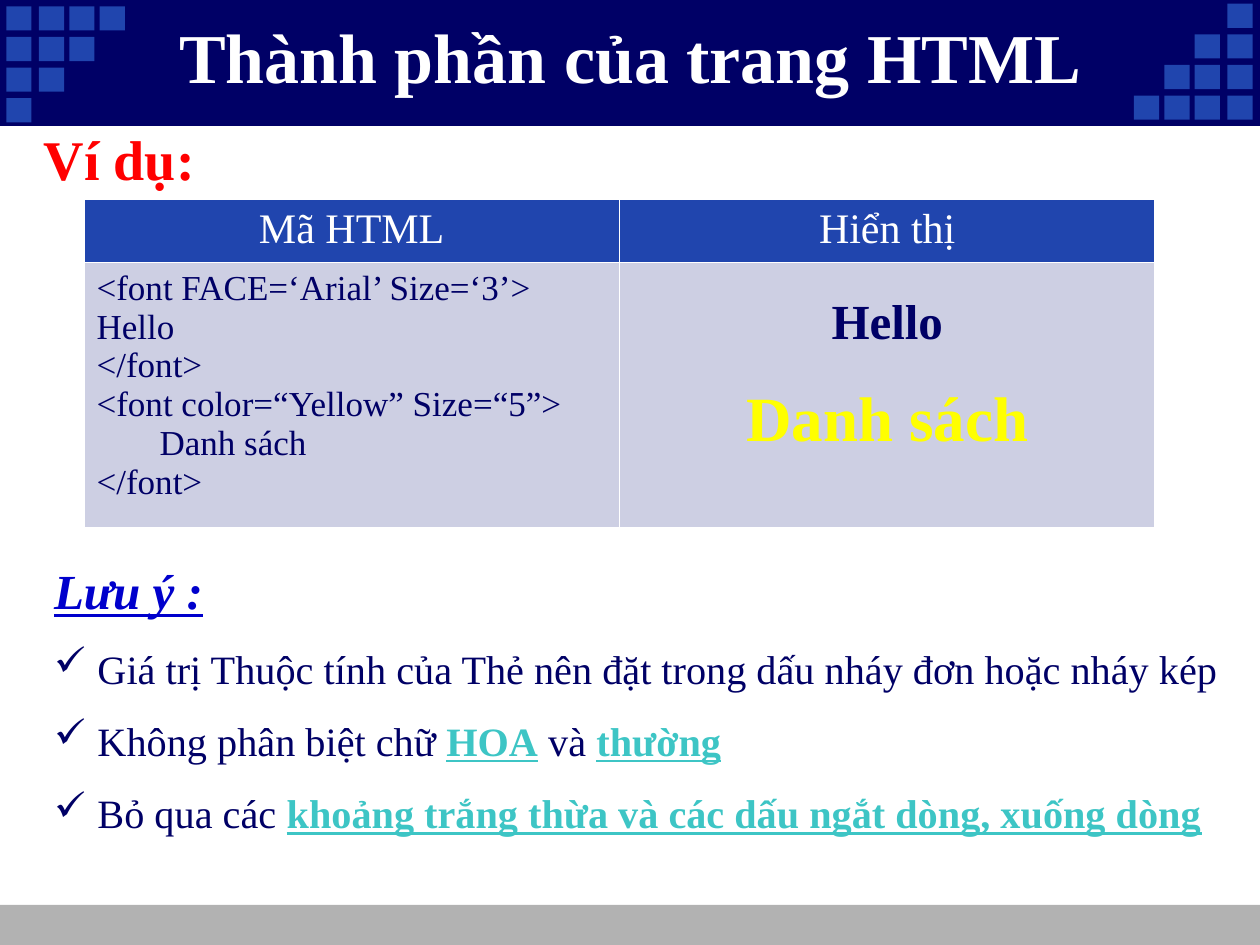
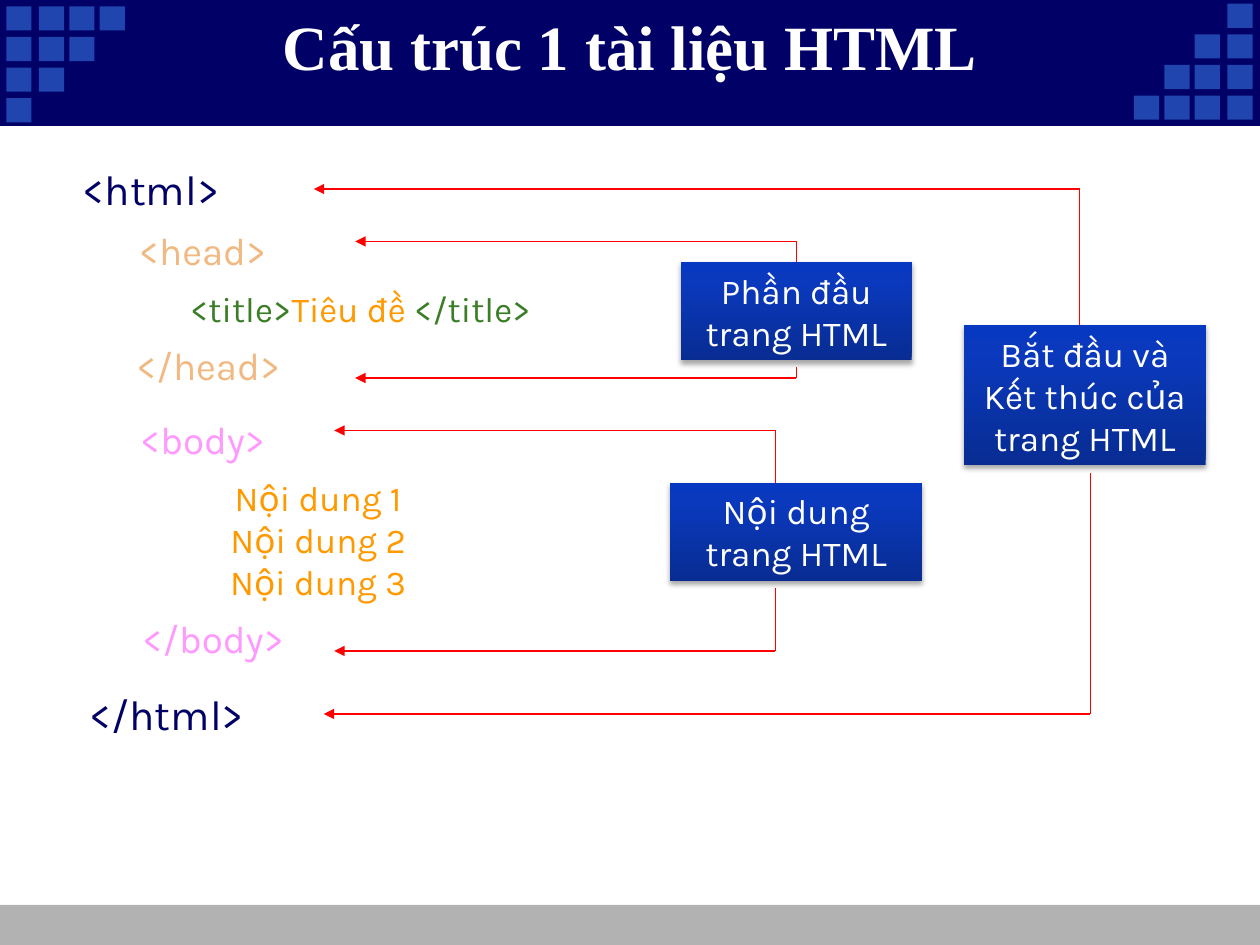
"""Build two slides about the parts and the structure of an HTML page."""
import lxml.etree
import pptx
import pptx.dml.color
import pptx.enum.shapes
import pptx.enum.text
import pptx.oxml
import pptx.oxml.ns
import pptx.util

Pt = pptx.util.Pt
RGBColor = pptx.dml.color.RGBColor
ALIGN = pptx.enum.text.PP_ALIGN
ANCHOR = pptx.enum.text.MSO_ANCHOR
RECTANGLE = pptx.enum.shapes.MSO_SHAPE.RECTANGLE
STRAIGHT = pptx.enum.shapes.MSO_CONNECTOR.STRAIGHT

WHITE = RGBColor(0xFF, 0xFF, 0xFF)
NAVY = RGBColor(0x00, 0x00, 0x66)
BLUE = RGBColor(0x20, 0x45, 0xAE)
NOTE_BLUE = RGBColor(0x00, 0x00, 0xCC)
GREY = RGBColor(0xB2, 0xB2, 0xB2)
PALE = RGBColor(0xCD, 0xCF, 0xE3)
RED = RGBColor(0xFF, 0x00, 0x00)
YELLOW = RGBColor(0xFF, 0xFF, 0x00)
TEAL = RGBColor(0x3D, 0xC5, 0xC5)
PINK = RGBColor(0xFF, 0x99, 0xFF)
PEACH = RGBColor(0xF1, 0xB9, 0x81)
GREEN = RGBColor(0x3C, 0x7E, 0x27)
ORANGE = RGBColor(0xFF, 0x99, 0x00)
BOX_GRADIENT = (
    (0, RGBColor(0x08, 0x2C, 0x92)),
    (80, RGBColor(0x0A, 0x39, 0xBD)),
    (100, RGBColor(0x07, 0x38, 0xC2)),
)

SERIF = {"name": "Times New Roman", "color": NAVY}
KARLA = {"name": "Karla", "size": Pt(20), "color": WHITE}
TITLE = SERIF | {"color": WHITE, "bold": True}
KEYWORD = {"color": TEAL, "bold": True, "underline": True}

SLIDE_WIDTH, SLIDE_HEIGHT = 720, 540
SQUARE_COLUMNS = (3.6, 22.3, 39.6, 57)
SQUARE_TOP, SQUARE_PITCH = 3.6, 17.5
SQUARE_WIDTH, SQUARE_HEIGHT = 14.4, 13.8


def points(*lengths):
    """Convert numbers to lengths in points."""
    return [Pt(length) for length in lengths]


def parse_drawing(tag, content="", attributes=""):
    """Make one DrawingML element."""
    namespace = pptx.oxml.ns.nsdecls("a")
    return pptx.oxml.parse_xml(f"<a:{tag} {namespace} {attributes}>{content}</a:{tag}>")


def format_font(font, values):
    """Apply a dict of format values to a font."""
    for name, value in values.items():
        if name == "color":
            font.color.rgb = value
        else:
            setattr(font, name, value)


def write_paragraph(paragraph, runs, font, **values):
    """Fill a paragraph with (text, overrides) runs, or with one plain string."""
    for name, value in values.items():
        setattr(paragraph, name, value)
    for text, overrides in [(runs, {})] if isinstance(runs, str) else runs:
        run = paragraph.add_run()
        run.text = text
        format_font(run.font, font | overrides)


def next_paragraph(frame, index):
    """Return the first paragraph of a frame, or add another one."""
    return frame.add_paragraph() if index else frame.paragraphs[0]


def add_rectangle(slide, bounds, color):
    """Add a plain filled rectangle without a line."""
    shape = slide.shapes.add_shape(RECTANGLE, *points(*bounds))
    shape.shadow.inherit = False
    shape.fill.solid()
    shape.fill.fore_color.rgb = color
    shape.line.fill.background()
    return shape


def add_bands(slide):
    """Draw the bands and corner squares and place them on the slide master."""
    shapes = [
        add_rectangle(slide, (0, 517, SLIDE_WIDTH, 23), GREY),
        add_rectangle(slide, (0, 0, SLIDE_WIDTH, 72), NAVY),
    ]
    for row in range(4):
        top = SQUARE_TOP + row * SQUARE_PITCH
        for left in SQUARE_COLUMNS[: 4 - row]:
            mirrored = 719.4 - left - SQUARE_WIDTH, 72 - top - SQUARE_HEIGHT
            for corner in ((left, top), mirrored):
                bounds = (*corner, SQUARE_WIDTH, SQUARE_HEIGHT)
                shapes.append(add_rectangle(slide, bounds, BLUE))
    master_tree = slide.slide_layout.slide_master.shapes.element
    for index, shape in enumerate(shapes):
        shape.element.nvSpPr.cNvPr.set("id", str(100 + index))
        master_tree.insert(2 + index, shape.element)


def add_titled_slide(presentation, title, top, size):
    """Add a title-only slide and place its title in the band."""
    slide = presentation.slides.add_slide(presentation.slide_layouts[5])
    shape = slide.shapes.title
    shape.left, shape.top, shape.width, shape.height = points(36, top, 648, 44.6)
    frame = shape.text_frame
    frame.auto_size = pptx.enum.text.MSO_AUTO_SIZE.NONE
    frame.vertical_anchor = ANCHOR.MIDDLE
    write_paragraph(frame.paragraphs[0], title, TITLE | {"size": Pt(size)}, alignment=ALIGN.CENTER)
    return slide


def add_text(slide, bounds, runs, font, **values):
    """Add a wrapping text box with one paragraph and return its frame."""
    frame = slide.shapes.add_textbox(*points(*bounds)).text_frame
    frame.word_wrap = True
    write_paragraph(frame.paragraphs[0], runs, font, **values)
    return frame


def add_check_bullet(paragraph):
    """Give a paragraph a check mark bullet with a hanging indent."""
    properties = paragraph._p.get_or_add_pPr()
    properties.set("marL", str(Pt(24.8)))
    properties.set("indent", str(-Pt(24.8)))
    properties.append(parse_drawing("buChar", attributes='char="✓"'))


def fill_cell(cell, paragraphs, color, **values):
    """Fill a table cell with (runs, font) paragraphs and white borders."""
    for index, (runs, font) in enumerate(paragraphs):
        write_paragraph(next_paragraph(cell.text_frame, index), runs, font, **values)
    cell.fill.solid()
    cell.fill.fore_color.rgb = color
    line = f'<a:solidFill><a:srgbClr val="{WHITE}"/></a:solidFill>'
    for index, side in enumerate(("lnL", "lnR", "lnT", "lnB")):
        border = parse_drawing(side, line, f'w="{Pt(1)}"')
        cell._tc.get_or_add_tcPr().insert(index, border)


def add_example_table(slide):
    """Add the table of HTML code and what it displays."""
    table = slide.shapes.add_table(2, 2, *points(48, 114, 612, 182.4)).table
    for row, height in zip(table.rows, (33.4, 149)):
        row.height = Pt(height)
    heading = SERIF | {"size": Pt(24), "color": WHITE, "bold": False}
    for column, text in enumerate(("Mã HTML", "Hiển thị")):
        fill_cell(table.cell(0, column), [(text, heading)], BLUE, alignment=ALIGN.CENTER)
    code = (
        "<font FACE=‘Arial’ Size=‘3’>\tHello",
        "</font>",
        "<font color=“Yellow” Size=“5”>",
        "\tDanh sách",
        "</font>",
    )
    code_font = SERIF | {"size": Pt(20)}
    fill_cell(table.cell(1, 0), [(line, code_font) for line in code], PALE)
    display = SERIF | {"size": Pt(28), "bold": True}
    shown = [("Hello", display), ("Danh sách", display | {"size": Pt(36), "color": YELLOW})]
    fill_cell(table.cell(1, 1), shown, PALE, alignment=ALIGN.CENTER, line_spacing=1.5)


def add_notes_list(slide):
    """Add the heading and the checked list below the table."""
    heading = SERIF | {"size": Pt(28), "color": NOTE_BLUE}
    heading |= {"bold": True, "italic": True, "underline": True}
    frame = add_text(slide, (23.8, 300.2, 696, 178.6), "Lưu ý :", heading, line_spacing=1.5)
    items = (
        "Giá trị Thuộc tính của Thẻ nên đặt trong dấu nháy đơn hoặc nháy kép",
        [("Không phân biệt chữ ", {}), ("HOA", KEYWORD), (" và ", {}), ("thường", KEYWORD)],
        [("Bỏ qua các ", {}), ("khoảng trắng thừa và các dấu ngắt dòng, xuống dòng", KEYWORD)],
    )
    for item in items:
        paragraph = frame.add_paragraph()
        paragraph.line_spacing = 1.5
        add_check_bullet(paragraph)
        write_paragraph(paragraph, item, SERIF | {"size": Pt(23)})


def add_label_box(slide, bounds, text):
    """Add a gradient box with a soft shadow and centred text."""
    shape = add_rectangle(slide, bounds, BLUE)
    stops = "".join(
        f'<a:gs pos="{position * 1000}"><a:srgbClr val="{color}"/></a:gs>'
        for position, color in BOX_GRADIENT
    )
    gradient = parse_drawing("gradFill", f'<a:gsLst>{stops}</a:gsLst><a:lin ang="16200000"/>')
    properties = shape.element.spPr
    properties.replace(properties.find(pptx.oxml.ns.qn("a:solidFill")), gradient)
    shadow = (
        f'<a:outerShdw blurRad="{Pt(3.1)}" dist="{Pt(1.8)}" dir="5400000" rotWithShape="0">'
        '<a:srgbClr val="000000"><a:alpha val="35000"/></a:srgbClr></a:outerShdw>'
    )
    properties.find(pptx.oxml.ns.qn("a:effectLst")).append(parse_drawing("wrap", shadow)[0])
    frame = shape.text_frame
    frame.word_wrap = True
    frame.vertical_anchor = ANCHOR.MIDDLE
    write_paragraph(frame.paragraphs[0], text, KARLA, alignment=ALIGN.CENTER)


def add_line(slide, start, end, arrow=False):
    """Add a thin red line, with an arrowhead at its end if wanted."""
    connector = slide.shapes.add_connector(STRAIGHT, *points(*start, *end))
    connector.line.color.rgb = RED
    connector.line.width = Pt(0.75)
    if arrow:
        head = parse_drawing("tailEnd", attributes='type="triangle"')
        connector.line._get_or_add_ln().append(head)
    connector.element.spPr.append(parse_drawing("effectLst"))


def add_arm(slide, stem, tip, arm_y, box_y):
    """Join a label box to a tag with a stem and an arrow."""
    add_line(slide, (stem, arm_y), (tip, arm_y), arrow=True)
    add_line(slide, (stem, arm_y), (stem, box_y))


def build_parts_slide(presentation):
    """Build the slide with the example table and the notes."""
    slide = add_titled_slide(presentation, "Thành phần của trang HTML", 9.4, 40)
    add_bands(slide)
    example = SERIF | {"size": Pt(32), "color": RED, "bold": True}
    add_text(slide, (18, 72, 168, 42), "Ví dụ:", example, line_spacing=0.9)
    add_example_table(slide)
    add_notes_list(slide)


def build_structure_slide(presentation):
    """Build the slide with the tag tree and its labels."""
    slide = add_titled_slide(presentation, "Cấu trúc 1 tài liệu HTML", 3.6, 36)
    title_runs = [("<title>", {"color": GREEN}), ("Tiêu đề ", {}), ("</title>", {"color": GREEN})]
    tags = (
        ((35.3, 90, 102, 36), "<html>", 24, NAVY),
        ((35.3, 390, 120, 36), "</html>", 24, NAVY),
        ((64.8, 234, 102, 34), "<body>", 22, PINK),
        ((64.8, 348, 114, 34), "</body>", 22, PINK),
        ((64.8, 126, 102, 34), "<head>", 22, PEACH),
        ((59, 192, 120, 34), "</head>", 22, PEACH),
        ((95, 160.6, 222, 31), title_runs, 20, ORANGE),
        ((118.8, 268.6, 126, 79), "Nội dung 1 Nội dung 2 Nội dung 3", 20, ORANGE),
    )
    for bounds, runs, size, color in tags:
        font = KARLA | {"size": Pt(size), "color": color}
        add_text(slide, bounds, runs, font, alignment=ALIGN.CENTER)
    labels = (
        ((550.8, 185.8, 138.2, 79.9), "Bắt đầu và Kết thúc của trang HTML"),
        ((389, 149.8, 132, 56.2), "Phần đầu trang HTML"),
        ((383, 275.8, 144, 56.2), "Nội dung trang HTML"),
    )
    for bounds, text in labels:
        add_label_box(slide, bounds, text)
    arms = (
        (617, 179.3, 108, 185.8),
        (623, 185, 408, 270),
        (455, 203, 138, 149.8),
        (455, 203, 216, 210),
        (443, 191, 246, 275.8),
        (443, 191, 372, 336),
    )
    for arm in arms:
        add_arm(slide, *arm)


def main():
    """Build and save the presentation."""
    presentation = pptx.Presentation()
    presentation.slide_width, presentation.slide_height = points(SLIDE_WIDTH, SLIDE_HEIGHT)
    build_parts_slide(presentation)
    build_structure_slide(presentation)
    presentation.save("out.pptx")


if __name__ == "__main__":
    main()
